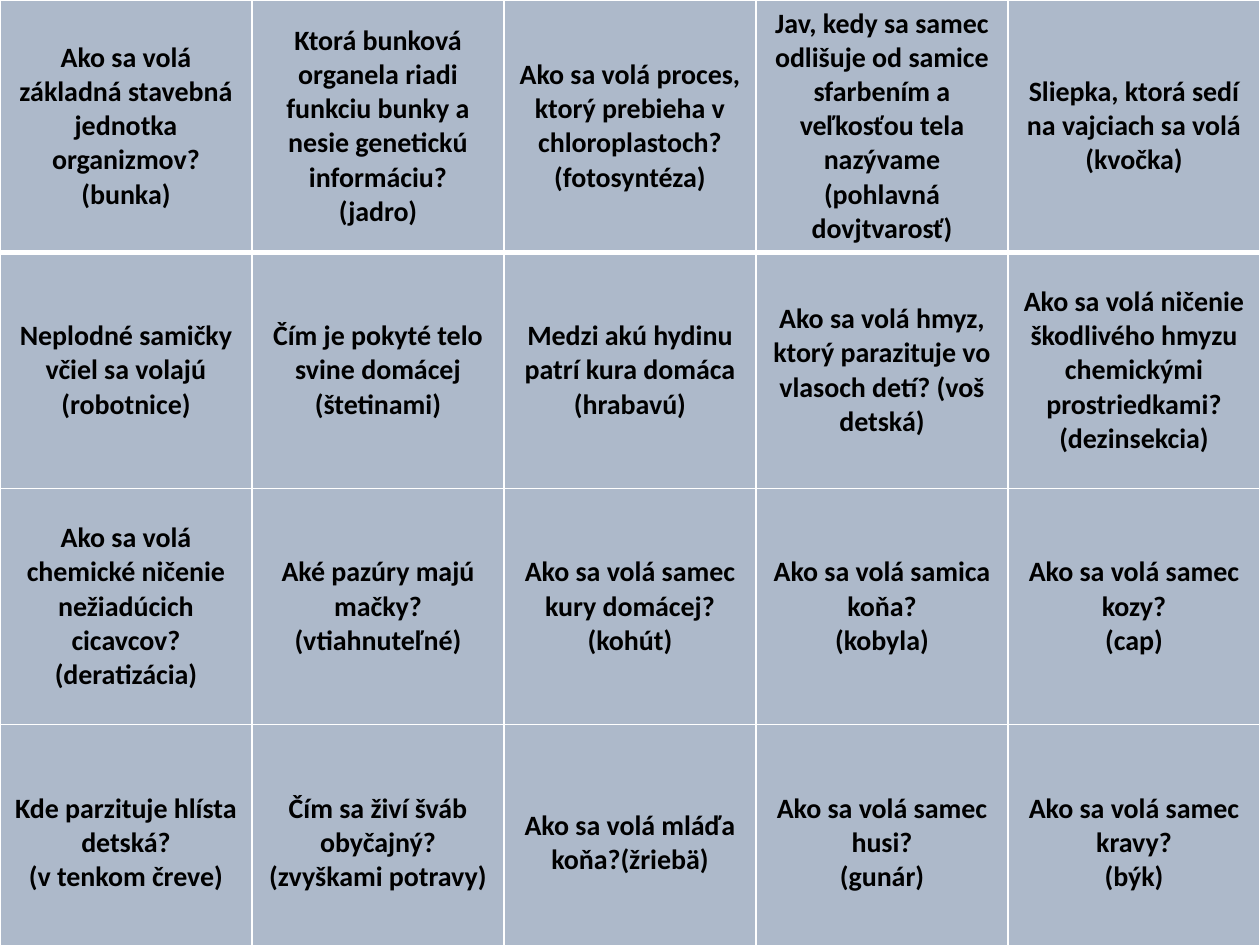
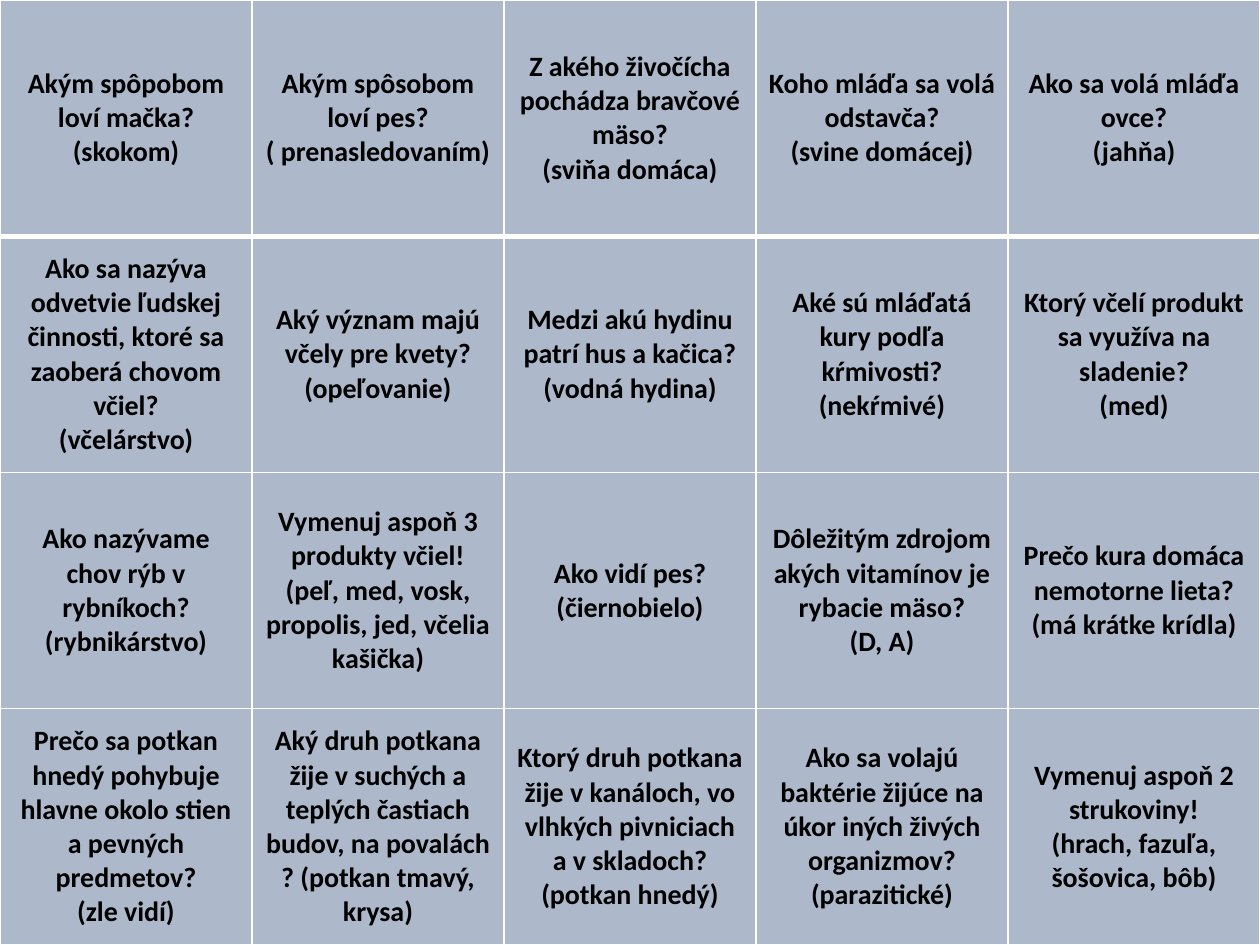
from dataclasses import dataclass

from lxml.etree import SubElement
from pptx import Presentation
from pptx.dml.color import RGBColor
from pptx.enum.text import MSO_ANCHOR, PP_ALIGN
from pptx.oxml.ns import qn
from pptx.util import Cm, Pt


@dataclass(frozen=True)
class Theme:
    font: str = "Calibri"
    size: int = 16
    text: str = "000000"
    card: str = "ADB9CA"
    rule: str = "FFFFFF"
    thin: int = 1
    thick: int = 3


THEME = Theme()
SLIDE_W, SLIDE_H = 25.4, 19.05

# Each card is "question|answer"; the bar starts a new paragraph
CELL_AND_ANIMAL_CARDS = [
    ["Ako sa volá základná stavebná jednotka organizmov?|(bunka)",
     "Ktorá bunková organela riadi funkciu bunky a nesie genetickú informáciu?|(jadro)",
     "Ako sa volá proces, ktorý prebieha v chloroplastoch?|(fotosyntéza)",
     "Jav, kedy sa samec odlišuje od samice sfarbením a veľkosťou tela nazývame "
     "(pohlavná dovjtvarosť)",
     "Sliepka, ktorá sedí na vajciach sa volá (kvočka)"],
    ["Neplodné samičky včiel sa volajú|(robotnice)",
     "Čím je pokyté telo svine domácej|(štetinami)",
     "Medzi akú hydinu patrí kura domáca|(hrabavú)",
     "Ako sa volá hmyz, ktorý parazituje vo vlasoch detí? (voš detská)",
     "Ako sa volá ničenie škodlivého hmyzu chemickými prostriedkami?|(dezinsekcia)"],
    ["Ako sa volá chemické ničenie nežiadúcich cicavcov?|(deratizácia)",
     "Aké pazúry majú mačky?|(vtiahnuteľné)",
     "Ako sa volá samec kury domácej?|(kohút)",
     "Ako sa volá samica koňa?|(kobyla)",
     "Ako sa volá samec kozy?|(cap)"],
    ["Kde parzituje hlísta detská?|(v tenkom čreve)",
     "Čím sa živí šváb obyčajný?|(zvyškami potravy)",
     "Ako sa volá mláďa koňa?(žriebä)",
     "Ako sa volá samec husi?|(gunár)",
     "Ako sa volá samec kravy?|(býk)"],
]

BREEDING_AND_PEST_CARDS = [
    ["Akým spôpobom loví mačka?|(skokom)",
     "Akým spôsobom loví pes?|( prenasledovaním)",
     "Z akého živočícha pochádza bravčové mäso?|(sviňa domáca)",
     "Koho mláďa sa volá odstavča?|(svine domácej)",
     "Ako sa volá mláďa ovce?|(jahňa)"],
    ["Ako sa nazýva odvetvie ľudskej činnosti, ktoré sa zaoberá chovom včiel?|(včelárstvo)",
     "Aký význam majú včely pre kvety?|(opeľovanie)",
     "Medzi akú hydinu patrí hus a kačica?|(vodná hydina)",
     "Aké sú mláďatá kury podľa kŕmivosti?|(nekŕmivé)",
     "Ktorý včelí produkt sa využíva na sladenie?|(med)"],
    ["Ako nazývame chov rýb v rybníkoch?|(rybnikárstvo)",
     "Vymenuj aspoň 3 produkty včiel!|(peľ, med, vosk, propolis, jed, včelia kašička)",
     "Ako vidí pes?|(čiernobielo)",
     "Dôležitým zdrojom akých vitamínov je rybacie mäso?|(D, A)",
     "Prečo kura domáca nemotorne lieta?|(má krátke krídla)"],
    ["Prečo sa potkan hnedý pohybuje hlavne okolo stien a pevných predmetov?|(zle vidí)",
     "Aký druh potkana žije v suchých a teplých častiach budov, na povalách ? "
     "(potkan tmavý, krysa)",
     "Ktorý druh potkana žije v kanáloch, vo vlhkých pivniciach a v skladoch? "
     "(potkan hnedý)",
     "Ako sa volajú baktérie žijúce na úkor iných živých organizmov?|(parazitické)",
     "Vymenuj aspoň 2 strukoviny!|(hrach, fazuľa, šošovica, bôb)"],
]


def set_borders(cell, widths):
    """Draw the cell's edges; the keys follow the schema order L, R, T, B."""
    tcPr = cell._tc.get_or_add_tcPr()
    for side, width in widths.items():
        ln = SubElement(tcPr, qn(f"a:ln{side}"), w=str(Pt(width)))
        fill = SubElement(ln, qn("a:solidFill"))
        SubElement(fill, qn("a:srgbClr"), val=THEME.rule)


def write_card(cell, card):
    cell.vertical_anchor = MSO_ANCHOR.MIDDLE
    cell.fill.solid()
    cell.fill.fore_color.rgb = RGBColor.from_string(THEME.card)
    formats = {"name": THEME.font, "size": Pt(THEME.size), "bold": True}
    tf = cell.text_frame
    for i, line in enumerate(card.split("|")):
        p = tf.add_paragraph() if i else tf.paragraphs[0]
        p.alignment = PP_ALIGN.CENTER
        r = p.add_run()
        r.text = line
        for name, value in formats.items():
            setattr(r.font, name, value)
        r.font.color.rgb = RGBColor.from_string(THEME.text)


def add_card_grid(s, cards, left, top, width, height):
    """Fill the given box (cm) with an even grid of question cards."""
    n_rows, n_cols = len(cards), len(cards[0])
    table = s.shapes.add_table(n_rows, n_cols, Cm(left), Cm(top),
                               Cm(width), Cm(height)).table
    for col in table.columns:
        col.width = Cm(width / n_cols)
    for row in table.rows:
        row.height = Cm(height / n_rows)

    # A thick rule separates the first row from the rest
    for i, row in enumerate(cards):
        for j, card in enumerate(row):
            cell = table.cell(i, j)
            set_borders(cell, {"L": THEME.thin, "R": THEME.thin,
                               "T": THEME.thick if i == 1 else THEME.thin,
                               "B": THEME.thick if i == 0 else THEME.thin})
            write_card(cell, card)


def main():
    prs = Presentation()
    prs.slide_width, prs.slide_height = Cm(SLIDE_W), Cm(SLIDE_H)
    blank = prs.slide_layouts[6]
    # One full-slide grid for each set of cards
    for cards in (CELL_AND_ANIMAL_CARDS, BREEDING_AND_PEST_CARDS):
        add_card_grid(prs.slides.add_slide(blank), cards, 0, 0, SLIDE_W, SLIDE_H)
    prs.save("out.pptx")


if __name__ == "__main__":
    main()
